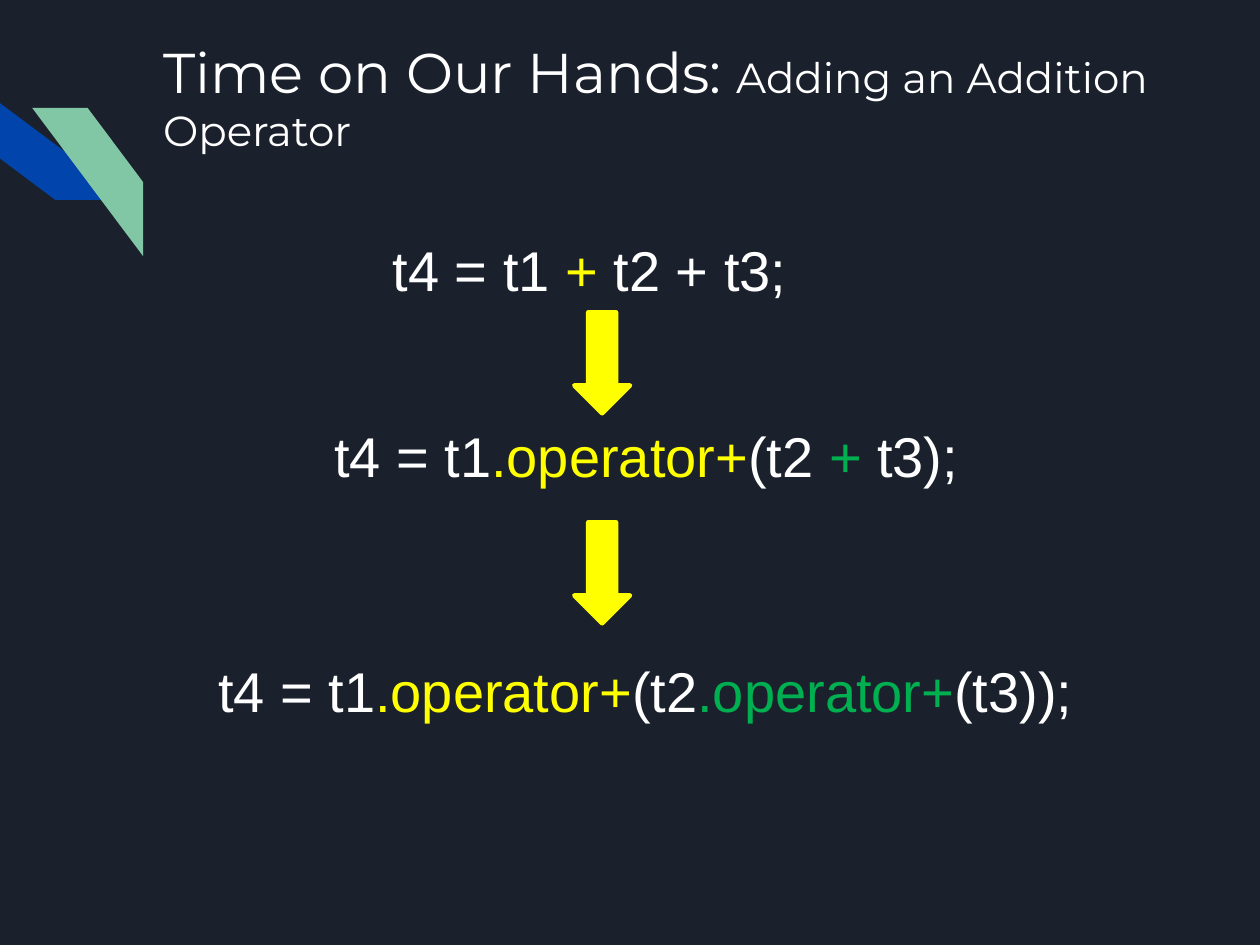
from dataclasses import dataclass

from pptx import Presentation
from pptx.dml.color import RGBColor
from pptx.enum import shapes, text
from pptx.util import Pt


@dataclass(frozen=True)
class Theme:
    night: str = "1B212C"
    blue: str = "0145AC"
    mint: str = "82C7A5"
    white: str = "FFFFFF"
    yellow: str = "FFFF00"
    green: str = "00B050"
    title_font: str = "Montserrat"
    code_font: str = "Arial"
    large: int = 24
    medium: int = 18


THEME = Theme()

# Each expression: left, top, width, then its (wording, colour) spans.
EXPRESSIONS = [
    (161.3, 97.2, 191.5, [
        ("t4 = t1 ", THEME.white), ("+", THEME.yellow),
        (" t2 + t3;", THEME.white)]),
    (136.1, 177.1, 284.4, [
        ("t4 = t1", THEME.white), (".operator+", THEME.yellow),
        ("(t2 ", THEME.white), ("+", THEME.green), (" t3);", THEME.white)]),
    (86.4, 277.9, 384.5, [
        ("t4 = t1", THEME.white), (".operator+", THEME.yellow),
        ("(t2", THEME.white), (".operator+", THEME.green),
        ("(t3));", THEME.white)]),
]
ARROW_TOPS = (133.9, 223.9)


def add_span(para, wording, font, size, colour):
    span = para.add_run()
    span.text = wording
    span.font.name = font
    span.font.size = Pt(size)
    span.font.color.rgb = RGBColor.from_string(colour)


def add_preset(page, kind, left, top, width, height, colour):
    shape = page.shapes.add_shape(
        kind, Pt(left), Pt(top), Pt(width), Pt(height))
    shape.shadow.inherit = False
    shape.fill.solid()
    shape.fill.fore_color.rgb = RGBColor.from_string(colour)
    shape.line.fill.background()
    return shape


def add_stripe(page, left, top, width, height, rotation, colour):
    stripe = add_preset(page, shapes.MSO_SHAPE.DIAGONAL_STRIPE,
                        left, top, width, height, colour)
    stripe.rotation = rotation


def add_arrow(page, top):
    arrow = add_preset(page, shapes.MSO_SHAPE.DOWN_ARROW,
                       246.2, top, 23.8, 43.2, THEME.yellow)
    arrow.line.color.rgb = RGBColor.from_string(THEME.yellow)
    arrow.line.width = Pt(2)


def add_title(page):
    box = page.shapes.add_textbox(Pt(64.8), Pt(10.8), Pt(469.4), Pt(54))
    frame = box.text_frame
    frame.word_wrap = True
    frame.margin_left = frame.margin_right = Pt(5.14)
    frame.margin_top = frame.margin_bottom = Pt(5.14)
    para = frame.paragraphs[0]
    add_span(para, "Time on Our Hands: ",
             THEME.title_font, THEME.large, THEME.white)
    add_span(para, "Adding an Addition Operator",
             THEME.title_font, THEME.medium, THEME.white)


def add_expression(page, left, top, width, spans):
    box = page.shapes.add_textbox(Pt(left), Pt(top), Pt(width), Pt(36))
    frame = box.text_frame
    frame.word_wrap = False
    frame.auto_size = text.MSO_AUTO_SIZE.SHAPE_TO_FIT_TEXT
    for wording, colour in spans:
        add_span(frame.paragraphs[0], wording,
                 THEME.code_font, THEME.large, colour)


def main():
    deck = Presentation()
    deck.slide_width, deck.slide_height = Pt(540), Pt(405)
    page = deck.slides.add_slide(deck.slide_layouts[6])
    page.background.fill.solid()
    page.background.fill.fore_color.rgb = RGBColor.from_string(THEME.night)

    add_stripe(page, 0, 30.2, 47.5, 63.5, 270, THEME.blue)
    add_stripe(page, 5.8, 54.3, 63.5, 47.5, 90, THEME.mint)
    add_title(page)
    for expression in EXPRESSIONS:
        add_expression(page, *expression)
    for top in ARROW_TOPS:
        add_arrow(page, top)

    deck.save("out.pptx")


if __name__ == "__main__":
    main()
